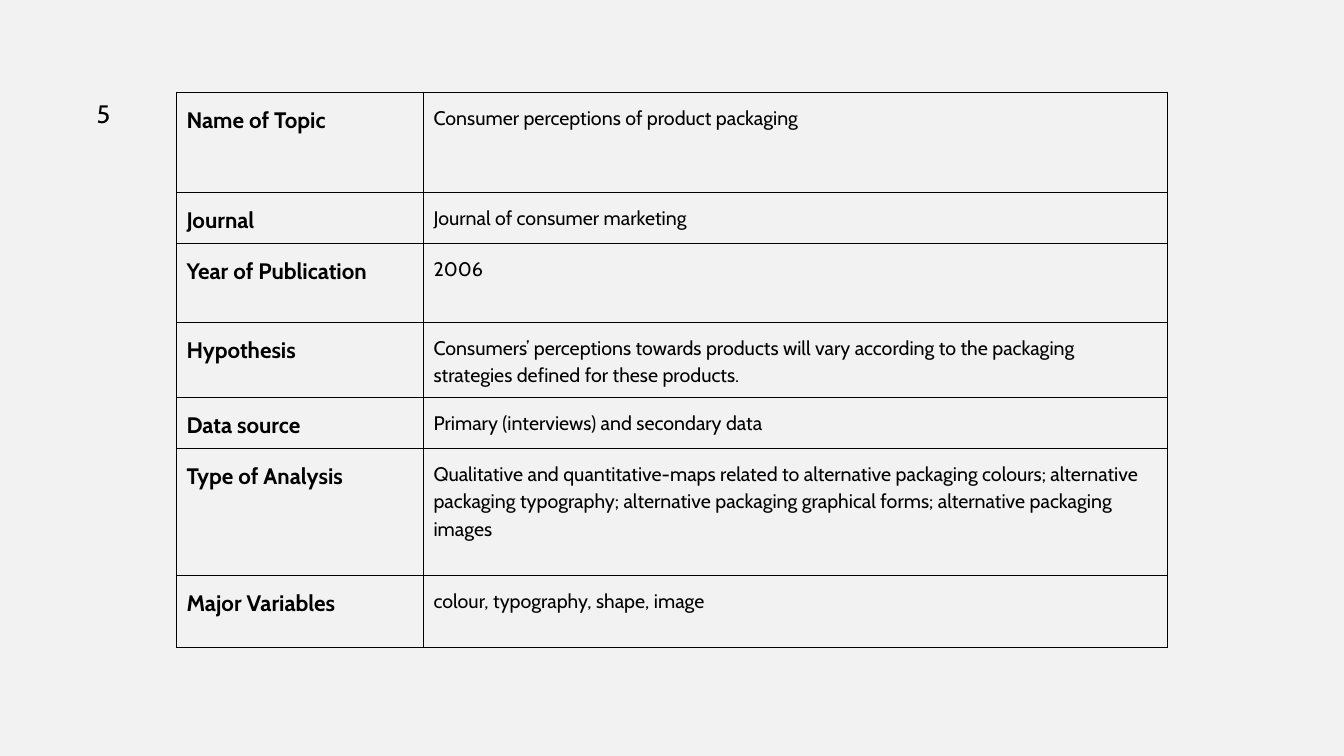
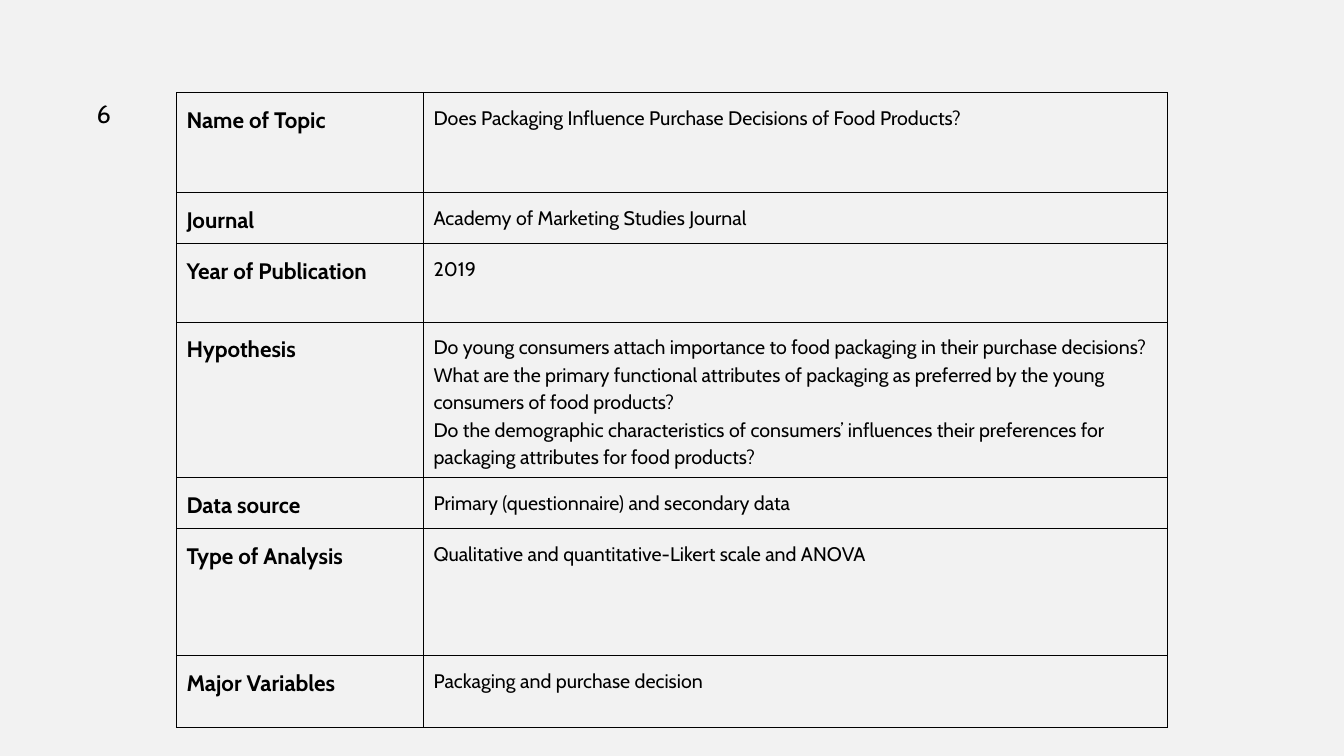
from lxml import etree
from pptx import Presentation
from pptx.dml.color import RGBColor
from pptx.enum.text import MSO_AUTO_SIZE
from pptx.oxml.ns import qn
from pptx.util import Inches, Pt

# Content: one number and one list of answers per study
TOPICS = ["Name of Topic", "Journal", "Year of Publication", "Hypothesis",
          "Data source", "Type of Analysis", "Major Variables"]
STUDIES = [
    ("5", [
        "Consumer perceptions of product packaging",
        "Journal of consumer marketing",
        "2006",
        "Consumers’ perceptions towards products will vary according to the "
        "packaging strategies defined for these products.",
        "Primary (interviews) and secondary data",
        "Qualitative and quantitative-maps related to alternative packaging "
        "colours; alternative packaging typography; alternative packaging "
        "graphical forms; alternative packaging images",
        "colour, typography, shape, image",
    ]),
    ("6", [
        "Does Packaging Influence Purchase Decisions of Food Products?",
        "Academy of Marketing Studies Journal",
        "2019",
        "Do young consumers attach importance to food packaging in their "
        "purchase decisions? What are the primary functional attributes of "
        "packaging as preferred by the young consumers of food products?\n"
        "Do the demographic characteristics of consumers’ influences their "
        "preferences for packaging attributes for food products?",
        "Primary (questionnaire) and secondary data",
        "Qualitative and quantitative-Likert scale and ANOVA",
        "Packaging and purchase decision",
    ]),
]

# Shared look, lengths in inches
COLORS = {"background": "F2F2F2", "text": "000000", "border": "000000"}
FONT = "Cabin"
LABEL = {"size": Pt(16), "bold": True}
ANSWER = {"size": Pt(14), "bold": False}
NUMBER = {"size": Pt(18), "bold": False}
SLIDE_SIZE = (13.33, 7.5)
TABLE_LEFT, TABLE_TOP = 1.75, 0.92
COLUMN_WIDTHS = [2.45, 7.38]
ROW_HEIGHTS = [0.99, 0.47, 0.78, 0.71, 0.47, 1.26, 0.71]
NUMBER_BOX = (0.86, 0.93, 0.33, 0.4)
CELL_MARGIN = 0.1
LINE_SPACING = 1.15
BORDER_WIDTH = Pt(0.75)
BLANK_LAYOUT = 6


def write_text(text_frame, text, style, line_spacing=None):
    text_frame.text = text
    for paragraph in text_frame.paragraphs:
        paragraph.line_spacing = line_spacing
        for run in paragraph.runs:
            for name, value in {"name": FONT, **style}.items():
                setattr(run.font, name, value)
            run.font.color.rgb = RGBColor.from_string(COLORS["text"])


def add_borders(cell):
    properties = cell._tc.get_or_add_tcPr()
    for position, side in enumerate(("lnL", "lnR", "lnT", "lnB")):
        line = etree.Element(qn(f"a:{side}"), w=str(BORDER_WIDTH))
        fill = etree.SubElement(line, qn("a:solidFill"))
        etree.SubElement(fill, qn("a:srgbClr"), val=COLORS["border"])
        properties.insert(position, line)


def format_cell(cell, text, style):
    for side in ("left", "right", "top", "bottom"):
        setattr(cell, f"margin_{side}", Inches(CELL_MARGIN))
    cell.fill.background()
    add_borders(cell)
    write_text(cell.text_frame, text, style, LINE_SPACING)


def add_study_table(slide, answers):
    frame = slide.shapes.add_table(
        len(TOPICS), len(COLUMN_WIDTHS), Inches(TABLE_LEFT), Inches(TABLE_TOP),
        Inches(sum(COLUMN_WIDTHS)), Inches(sum(ROW_HEIGHTS)))
    table = frame.table
    table.first_row = table.horz_banding = False
    for column, width in zip(table.columns, COLUMN_WIDTHS):
        column.width = Inches(width)
    for row, height, topic, answer in zip(table.rows, ROW_HEIGHTS, TOPICS, answers):
        row.height = Inches(height)
        format_cell(row.cells[0], topic, LABEL)
        format_cell(row.cells[1], answer, ANSWER)


def add_number(slide, number):
    box = slide.shapes.add_textbox(*map(Inches, NUMBER_BOX))
    box.text_frame.word_wrap = False
    box.text_frame.auto_size = MSO_AUTO_SIZE.SHAPE_TO_FIT_TEXT
    write_text(box.text_frame, number, NUMBER)


def main():
    presentation = Presentation()
    presentation.slide_width, presentation.slide_height = map(Inches, SLIDE_SIZE)
    background = presentation.slide_master.background.fill
    background.solid()
    background.fore_color.rgb = RGBColor.from_string(COLORS["background"])
    for number, answers in STUDIES:
        slide = presentation.slides.add_slide(presentation.slide_layouts[BLANK_LAYOUT])
        add_study_table(slide, answers)
        add_number(slide, number)
    presentation.save("out.pptx")


if __name__ == "__main__":
    main()
